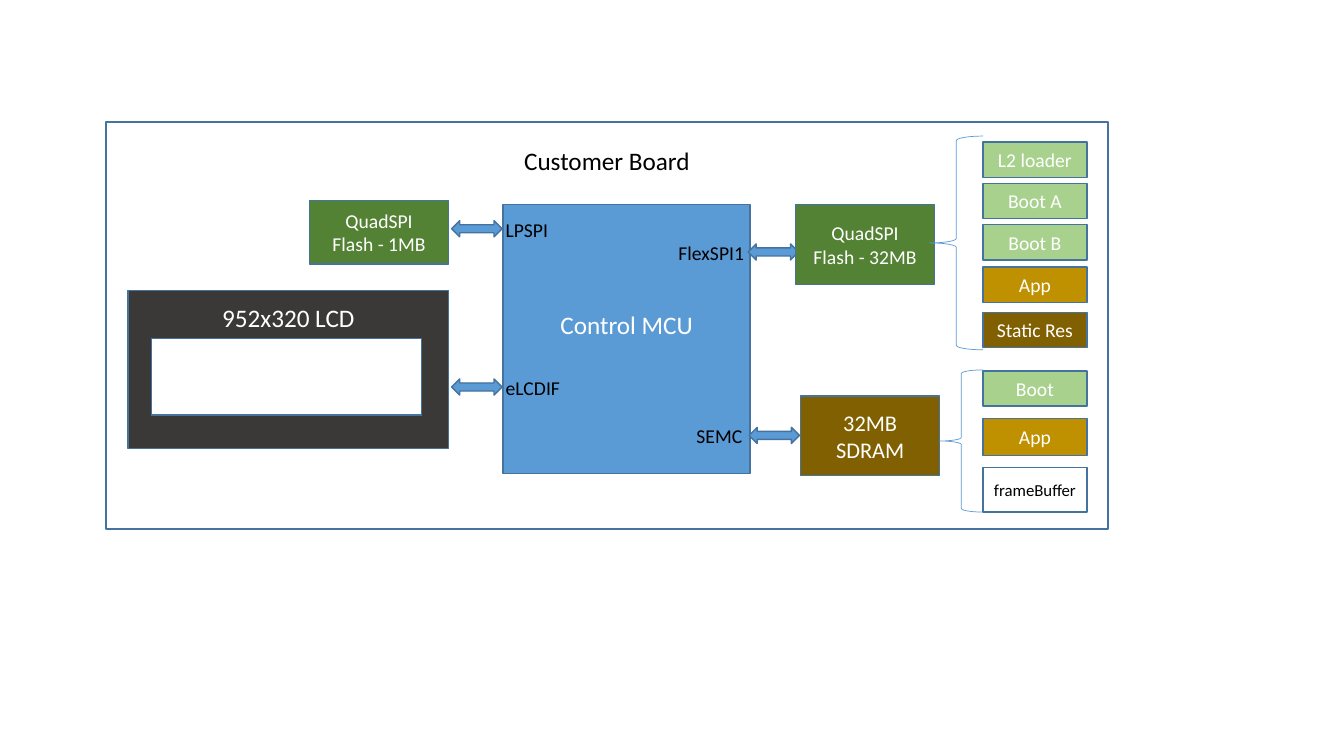
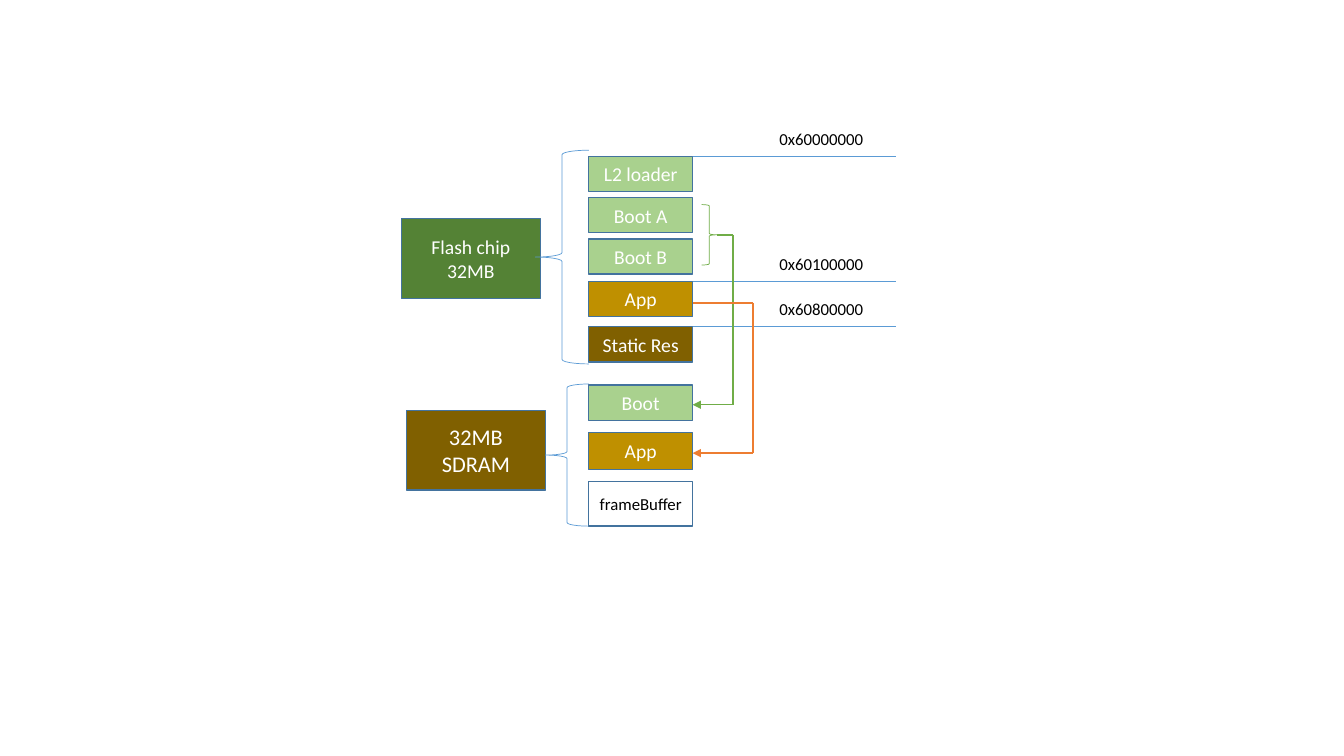
from dataclasses import dataclass
from itertools import pairwise

from lxml import etree
from pptx import Presentation
from pptx.dml.color import RGBColor
from pptx.enum.shapes import MSO_CONNECTOR, MSO_SHAPE as SHAPE
from pptx.enum.text import MSO_ANCHOR as ANCHOR, PP_ALIGN
from pptx.oxml.ns import qn
from pptx.util import Inches, Pt


@dataclass(frozen=True)
class Theme:
    font: str = "Calibri"
    white: str = "FFFFFF"
    black: str = "000000"
    blue: str = "5B9BD5"
    outline: str = "43739E"
    flash: str = "548235"
    sdram: str = "806000"
    boot: str = "A9D18E"
    app: str = "BF9000"
    lcd: str = "3B3838"
    boot_copy: str = "70AD47"
    app_copy: str = "ED7D31"
    heading: int = 18
    chip: int = 16
    label: int = 14
    small: int = 12
    thin: float = 0.5
    normal: float = 1


THEME = Theme()


@dataclass(frozen=True)
class Box:
    left: float
    top: float
    width: float
    height: float

    @property
    def right(self):
        return self.left + self.width

    @property
    def middle(self):
        return self.top + self.height / 2

    def inside(self, left, top, width, height):
        """Box whose offsets are measured from this box's corner."""
        return Box(self.left + left, self.top + top, width, height)

    def lengths(self):
        return [Inches(v) for v in (self.left, self.top, self.width, self.height)]


def rgb(color):
    return RGBColor.from_string(color)


def write(shape, lines, size, color, anchor=ANCHOR.MIDDLE, top=0.05, bottom=0.05):
    frame = shape.text_frame
    frame.word_wrap = True
    frame.vertical_anchor = anchor
    frame.margin_left = frame.margin_right = Inches(0.05)
    frame.margin_top, frame.margin_bottom = Inches(top), Inches(bottom)
    for number, line in enumerate(lines):
        paragraph = frame.add_paragraph() if number else frame.paragraphs[0]
        paragraph.alignment = PP_ALIGN.CENTER
        run = paragraph.add_run()
        run.text = line
        run.font.name = THEME.font
        run.font.size = Pt(size)
        run.font.color.rgb = rgb(color)


def draw(slide, preset, box, fill=None, line=THEME.outline, weight=THEME.normal):
    shape = slide.shapes.add_shape(preset, *box.lengths())
    shape.shadow.inherit = False
    if fill:
        shape.fill.solid()
        shape.fill.fore_color.rgb = rgb(fill)
    else:
        shape.fill.background()
    shape.line.color.rgb = rgb(line)
    shape.line.width = Pt(weight)
    return shape


def block(slide, box, lines, fill, size=THEME.label, color=THEME.white, **placing):
    write(draw(slide, SHAPE.RECTANGLE, box, fill), lines, size, color, **placing)


def label(slide, box, text, size=THEME.label):
    write(slide.shapes.add_textbox(*box.lengths()), [text], size, THEME.black)


def brace(slide, preset, box, color=THEME.blue):
    draw(slide, preset, box, line=color, weight=THEME.thin)


def route(slide, points, color, weight=THEME.normal, arrow=False):
    """Straight segments through the points, with an optional head at the end."""
    for start, end in pairwise(points):
        segment = slide.shapes.add_connector(
            MSO_CONNECTOR.STRAIGHT, *(Inches(v) for v in (*start, *end)))
        segment.line.color.rgb = rgb(color)
        segment.line.width = Pt(weight)
        properties = segment.element.spPr
        etree.SubElement(properties, qn("a:effectLst"))
        if arrow and end == points[-1]:
            head = etree.SubElement(properties.find(qn("a:ln")), qn("a:tailEnd"))
            head.set("type", "triangle")


# Text, top offset, height, fill, type size, text colour
FLASH_CELLS = [
    ("L2 loader", 0.06, 0.35, THEME.boot, THEME.label, THEME.white),
    ("Boot A", 0.47, 0.35, THEME.boot, THEME.label, THEME.white),
    ("Boot B", 0.88, 0.35, THEME.boot, THEME.label, THEME.white),
    ("App", 1.3, 0.35, THEME.app, THEME.label, THEME.white),
    ("Static Res", 1.75, 0.35, THEME.sdram, THEME.label, THEME.white),
]
SDRAM_CELLS = [
    ("Boot", 2.33, 0.35, THEME.boot, THEME.label, THEME.white),
    ("App", 2.8, 0.37, THEME.app, THEME.label, THEME.white),
    ("frameBuffer", 3.29, 0.44, THEME.white, THEME.small, THEME.black),
]


def memory_map(slide, area, flash_lines):
    """Draw both memories with their contents; return the cell boxes of each."""
    block(slide, area.inside(0, 0.68, 1.38, 0.79), flash_lines, THEME.flash)
    block(slide, area.inside(0.05, 2.58, 1.38, 0.79), ["32MB", "SDRAM"],
          THEME.sdram, THEME.chip)
    brace(slide, SHAPE.LEFT_BRACE, area.inside(1.33, 0, 0.53, 2.12))
    brace(slide, SHAPE.LEFT_BRACE, area.inside(1.43, 2.32, 0.43, 1.41))
    memories = []
    for cells in (FLASH_CELLS, SDRAM_CELLS):
        boxes = []
        for text, top, height, fill, size, color in cells:
            cell = area.inside(1.86, top, 1.03, height)
            block(slide, cell, [text], fill, size, color)
            boxes.append(cell)
        memories.append(boxes)
    return memories


def processor(slide, box):
    block(slide, box, ["Control MCU"], THEME.blue, THEME.heading, bottom=0.35)
    ports = [
        ("FlexSPI1", 1.53, 0.47, 2.43),
        ("SEMC", 1.61, 2.29, 2.44),
        ("eLCDIF", -0.24, 1.81, -0.51),
        ("LPSPI", -0.3, 0.24, -0.51),
    ]
    for port, label_left, middle, arrow_left in ports:
        label(slide, box.inside(label_left, middle - 0.24, 1.07, 0.49), port)
        draw(slide, SHAPE.LEFT_RIGHT_ARROW,
             box.inside(arrow_left, middle - 0.08, 0.5, 0.16), THEME.blue)


def display(slide, box):
    block(slide, box, ["952x320 LCD"], THEME.lcd, THEME.heading,
          anchor=ANCHOR.TOP, top=0.12)
    draw(slide, SHAPE.RECTANGLE, box.inside(0.23, 0.48, 2.68, 0.76), THEME.white)


def board_slide(slide, board):
    block(slide, board, ["Customer Board"], None, THEME.heading, THEME.black,
          anchor=ANCHOR.TOP, top=0.23)
    processor(slide, board.inside(3.94, 0.82, 2.45, 2.67))
    display(slide, board.inside(0.22, 1.67, 3.18, 1.57))
    block(slide, board.inside(2.02, 0.78, 1.38, 0.63),
          ["QuadSPI", "Flash - 1MB"], THEME.flash)
    memory_map(slide, board.inside(6.84, 0.14, 2.89, 3.73),
               ["QuadSPI", "Flash - 32MB"])


def address_marks(slide, flash):
    marks = [("0x60000000", flash[0]), ("0x60100000", flash[3]),
             ("0x60800000", flash[4])]
    for address, cell in marks:
        route(slide, [(cell.right, cell.top), (cell.right + 2.02, cell.top)],
              THEME.blue, THEME.thin)
        label(slide, cell.inside(1.75, -0.35, 1.11, 0.35), address, THEME.small)


def copy_arrows(slide, flash, sdram):
    """Arrows from the flash images to the places they are loaded to."""
    boot_images = flash[1].inside(1.12, 0.07, 0.15, 0.6)
    brace(slide, SHAPE.RIGHT_BRACE, boot_images, THEME.boot_copy)
    edge = flash[1].right
    routes = [
        (boot_images.right, boot_images.middle, 0.4, sdram[0], THEME.boot_copy),
        (edge, flash[3].middle + 0.04, 0.6, sdram[1], THEME.app_copy),
    ]
    for start, height, reach, target, color in routes:
        end = target.middle + 0.02
        turn = edge + reach
        route(slide, [(start, height), (turn, height), (turn, end),
                      (target.right, end)], color, arrow=True)


def loading_slide(slide, area):
    flash, sdram = memory_map(slide, area, ["Flash chip", "32MB"])
    address_marks(slide, flash)
    copy_arrows(slide, flash, sdram)


def main():
    deck = Presentation()
    deck.slide_width, deck.slide_height = Inches(13.33), Inches(7.5)
    blank = deck.slide_layouts[6]
    board_slide(deck.slides.add_slide(blank), Box(1.05, 1.21, 9.94, 4.04))
    loading_slide(deck.slides.add_slide(blank), Box(3.98, 1.49, 2.89, 3.73))
    deck.save("out.pptx")


if __name__ == "__main__":
    main()
